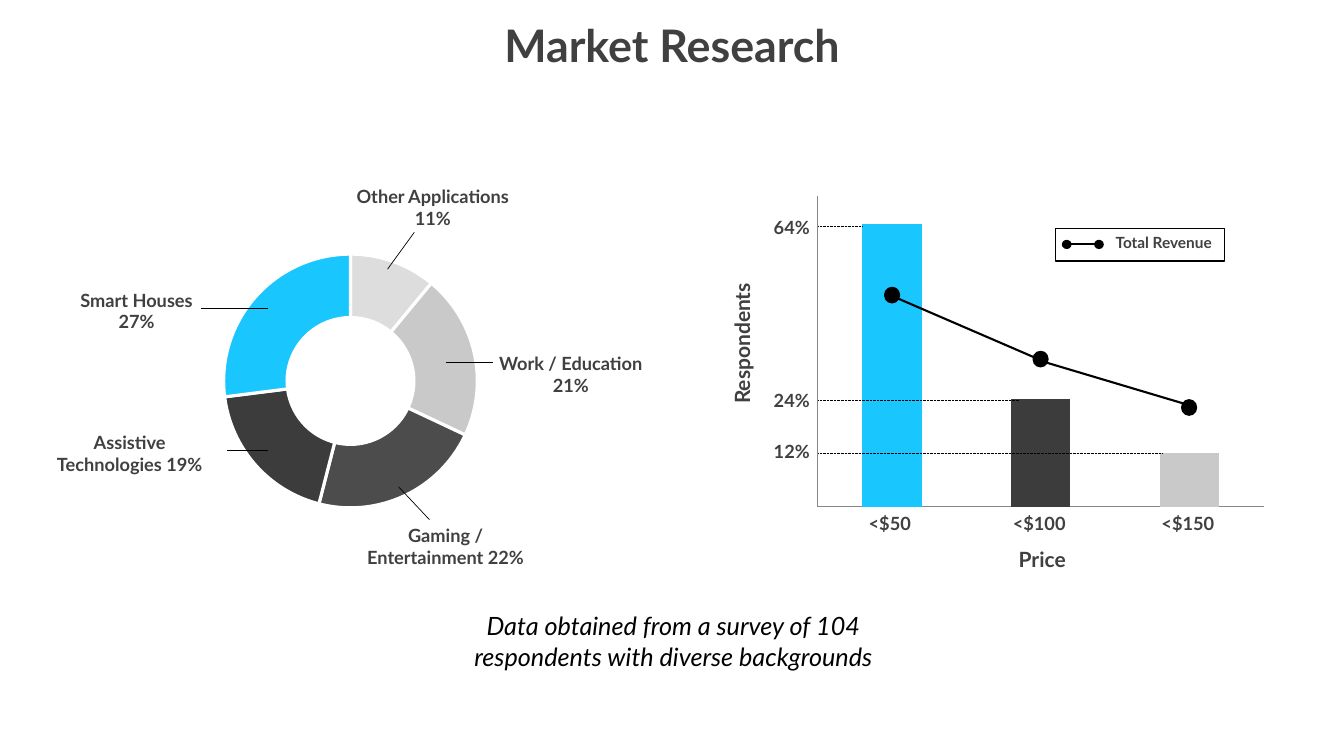
from dataclasses import dataclass
from typing import NamedTuple

from lxml import etree
from pptx import Presentation
from pptx.chart.data import CategoryChartData
from pptx.dml.color import RGBColor
from pptx.enum.chart import XL_CHART_TYPE, XL_TICK_LABEL_POSITION, XL_TICK_MARK
from pptx.enum.dml import MSO_LINE
from pptx.enum.shapes import MSO_CONNECTOR, MSO_SHAPE
from pptx.enum.text import MSO_ANCHOR, MSO_AUTO_SIZE, PP_ALIGN
from pptx.oxml.ns import qn
from pptx.util import Inches, Pt

DOUGHNUT, COLUMNS = XL_CHART_TYPE.DOUGHNUT, XL_CHART_TYPE.COLUMN_CLUSTERED
NO_LABELS, NO_TICKS = XL_TICK_LABEL_POSITION.NONE, XL_TICK_MARK.NONE
STRAIGHT, DOTTED = MSO_CONNECTOR.STRAIGHT, MSO_LINE.ROUND_DOT
RECTANGLE, OVAL = MSO_SHAPE.RECTANGLE, MSO_SHAPE.OVAL
TOP, MIDDLE, CENTER = MSO_ANCHOR.TOP, MSO_ANCHOR.MIDDLE, PP_ALIGN.CENTER
FIT_SHAPE = MSO_AUTO_SIZE.SHAPE_TO_FIT_TEXT
TITLE_ONLY = 5

SLIDE_WIDTH, SLIDE_HEIGHT = Inches(26.67), Inches(15)
GRID_COLUMNS, GRID_ROWS = 80, 45
GRAY, BLACK, WHITE, AXIS = "404040", "000000", "FFFFFF", "868686"
BLUE, DARK, LIGHT = "19C6FE", "3C3C3C", "C9C9C9"
LABEL_WIDTH = 9.36


class Box(NamedTuple):
    left: float
    top: float
    width: float
    height: float


class Segment(NamedTuple):
    start_column: float
    start_row: float
    end_column: float
    end_row: float


@dataclass
class Label:
    text: str
    box: Box
    size: int = 26
    rotation: int = 0


@dataclass
class ChartPart:
    kind: int
    box: Box
    values: tuple
    colors: tuple
    plot: Box  # shares of the chart's size


LABELS = [
    Label("Smart Houses 27%", Box(3.45, 16.9, LABEL_WIDTH, 3.24)),
    Label("Assistive Technologies 19%", Box(2.1, 25.4, 11.25, 3.24)),
    Label("Gaming / Entertainment 22%", Box(20.6, 30.93, 11.85, 3.24)),
    Label("Other Applications 11%", Box(20.2, 10.74, 11.13, 3.24)),
    Label("Work / Education 21%", Box(29.3, 20.7, LABEL_WIDTH, 3.24)),
    Label("<$50", Box(51.36, 30.18, 3.21, 1.92)),
    Label("<$100", Box(59.85, 30.18, 4.02, 1.92)),
    Label("<$150", Box(68.7, 30.18, 4.02, 1.92)),
    Label("64%", Box(42.45, 12.57, LABEL_WIDTH, 1.92)),
    Label("24%", Box(42.45, 22.86, LABEL_WIDTH, 1.92)),
    Label("12%", Box(42.45, 25.92, LABEL_WIDTH, 1.92)),
    Label("Price", Box(57.36, 32.22, LABEL_WIDTH, 2.13), 30),
    Label("Respondents", Box(39.48, 19.38, LABEL_WIDTH, 2.13), 30, 270),
    Label("Total Revenue", Box(64.59, 13.59, LABEL_WIDTH, 1.71), 22),
]
LEADERS = [
    Segment(11.94, 18.33, 15.96, 18.33), Segment(13.5, 26.79, 15.96, 26.79),
    Segment(23.73, 28.98, 25.56, 30.93), Segment(24.66, 13.83, 23.07, 16.02),
    Segment(26.52, 21.54, 29.34, 21.54),
]
GUIDES = [Segment(48.72, row, end, row)
          for row, end in ((13.5, 51.36), (23.82, 60.63), (26.97, 69.15))]
REVENUE_LINES = [Segment(53.43, 17.76, 61.56, 21.27), Segment(62.04, 21.51, 71.19, 24.24),
                 Segment(63.72, 14.55, 65.34, 14.55)]
REVENUE_DOTS = [Box(52.68 + 8.84 * index, row, 0.84, 0.87)
                for index, row in enumerate((17.13, 20.94, 23.82))]
LEGEND_DOTS = [Box(column, 14.34, 0.45, 0.42) for column in (63.27, 65.19)]

APPLICATIONS = ChartPart(DOUGHNUT, Box(5.37, 11.88, 29.1, 19.53), (11, 21, 22, 19, 27),
                         ("DDDDDD", LIGHT, "4C4C4C", DARK, BLUE), Box(0.273, 0.13, 0.519, 0.846))
PRICES = ChartPart(COLUMNS, Box(48.12, 11.28, 27.66, 19.26), (100, 38, 19),
                   (BLUE, DARK, LIGHT), Box(0.02, 0.02, 0.96, 0.96))


def color(value: str) -> RGBColor:
    return RGBColor.from_string(value)


def across(columns: float) -> int:
    return round(SLIDE_WIDTH * columns / GRID_COLUMNS)


def down(rows: float) -> int:
    return round(SLIDE_HEIGHT * rows / GRID_ROWS)


def place(box: Box) -> tuple:
    return across(box.left), down(box.top), across(box.width), down(box.height)


def apply_format(target, values: dict) -> None:
    for name, value in values.items():
        setattr(target, name, value)


def write_text(shape, lines: list, size: int, font_color: str = GRAY, bold: bool = True,
               italic: bool = False, inset: float = 0.1, anchor=TOP) -> None:
    margins = {f"margin_{side}": Inches(inset) for side in ("left", "right", "top", "bottom")}
    apply_format(shape.text_frame, {"word_wrap": True, "auto_size": FIT_SHAPE,
                                    "vertical_anchor": anchor, **margins})
    shape.text_frame.text = "\n".join(lines)
    for paragraph in shape.text_frame.paragraphs:
        paragraph.alignment = CENTER
        apply_format(paragraph.font, {"name": "Lato", "size": Pt(size), "bold": bold,
                                      "italic": italic})
        paragraph.font.color.rgb = color(font_color)


def add_label(slide, label: Label) -> None:
    shape = slide.shapes.add_textbox(*place(label.box))
    shape.rotation = label.rotation
    write_text(shape, [label.text], label.size)


def add_line(slide, segment: Segment, width: float, dash=None) -> None:
    connector = slide.shapes.add_connector(
        STRAIGHT, across(segment.start_column), down(segment.start_row),
        across(segment.end_column), down(segment.end_row))
    connector.line.color.rgb = color(BLACK)
    apply_format(connector.line, {"width": Pt(width), "dash_style": dash})
    etree.SubElement(connector._element.spPr, qn("a:effectLst"))


def add_figure(slide, kind, box: Box, fill: str | None, line: str, width: float) -> None:
    shape = slide.shapes.add_shape(kind, *place(box))
    shape.shadow.inherit = False
    if fill:
        shape.fill.solid()
        shape.fill.fore_color.rgb = color(fill)
    else:
        shape.fill.background()
    shape.line.color.rgb = color(line)
    shape.line.width = Pt(width)


def set_plot_layout(chart, plot: Box) -> None:
    plot_area = chart._chartSpace.chart.plotArea
    for old_layout in plot_area.findall(qn("c:layout")):
        plot_area.remove(old_layout)
    layout = etree.Element(qn("c:layout"))
    manual = etree.SubElement(layout, qn("c:manualLayout"))
    settings = {"layoutTarget": "inner", "xMode": "edge", "yMode": "edge",
                "x": plot.left, "y": plot.top, "w": plot.width, "h": plot.height}
    for name, value in settings.items():
        etree.SubElement(manual, qn(f"c:{name}")).set("val", str(value))
    plot_area.insert(0, layout)


def add_chart(slide, part: ChartPart):
    data = CategoryChartData()
    data.categories = [str(number + 1) for number in range(len(part.values))]
    data.add_series("Series 1", part.values)
    chart = slide.shapes.add_chart(part.kind, *place(part.box), data).chart
    apply_format(chart, {"has_legend": False, "has_title": False})
    apply_format(chart.font, {"name": "Calibri", "size": Pt(18)})
    chart.font.color.rgb = color(BLACK)
    for index, fill in enumerate(part.colors):
        point = chart.plots[0].series[0].points[index]
        point.format.fill.solid()
        point.format.fill.fore_color.rgb = color(fill)
        if part.kind == DOUGHNUT:
            point.format.line.color.rgb = color(WHITE)
            point.format.line.width = Pt(4.5)
    set_plot_layout(chart, part.plot)
    return chart


def format_axes(chart) -> None:
    apply_format(chart.plots[0], {"gap_width": 150, "vary_by_categories": False})
    apply_format(chart.value_axis, {"minimum_scale": 0, "maximum_scale": 110})
    for axis in (chart.category_axis, chart.value_axis):
        apply_format(axis, {"has_major_gridlines": False, "tick_label_position": NO_LABELS,
                            "major_tick_mark": NO_TICKS, "minor_tick_mark": NO_TICKS})
        axis.format.line.color.rgb = color(AXIS)
        axis.format.line.width = Pt(0.75)


def main() -> None:
    presentation = Presentation()
    apply_format(presentation, {"slide_width": SLIDE_WIDTH, "slide_height": SLIDE_HEIGHT})
    slide = presentation.slides.add_slide(presentation.slide_layouts[TITLE_ONLY])

    # Footer band and title
    add_figure(slide, RECTANGLE, Box(0, 36.93, 80, 8.01), WHITE, WHITE, 2)
    title = slide.shapes.title
    apply_format(title, dict(zip(("left", "top", "width", "height"),
                                 place(Box(20.64, 0.78, 38.73, 3.84)))))
    write_text(title, ["Market Research"], 64)

    # Charts, leader lines and dotted guides
    add_chart(slide, APPLICATIONS)
    format_axes(add_chart(slide, PRICES))
    for leader in LEADERS:
        add_line(slide, leader, 1)
    for guide in GUIDES:
        add_line(slide, guide, 1, DOTTED)

    # Revenue trend and its legend
    for dot in REVENUE_DOTS + LEGEND_DOTS:
        add_figure(slide, OVAL, dot, BLACK, BLACK, 3)
    for segment in REVENUE_LINES:
        add_line(slide, segment, 3)
    add_figure(slide, RECTANGLE, Box(62.82, 13.59, 10.08, 1.95), None, BLACK, 2)

    # Labels and survey note
    for label in LABELS:
        add_label(slide, label)
    note = slide.shapes.add_textbox(*place(Box(20.37, 36.33, 39.42, 3.63)))
    write_text(note, ["Data obtained from a survey of 104", "respondents with diverse backgrounds"],
               36, BLACK, bold=False, italic=True, inset=0, anchor=MIDDLE)
    presentation.save("out.pptx")


if __name__ == "__main__":
    main()
